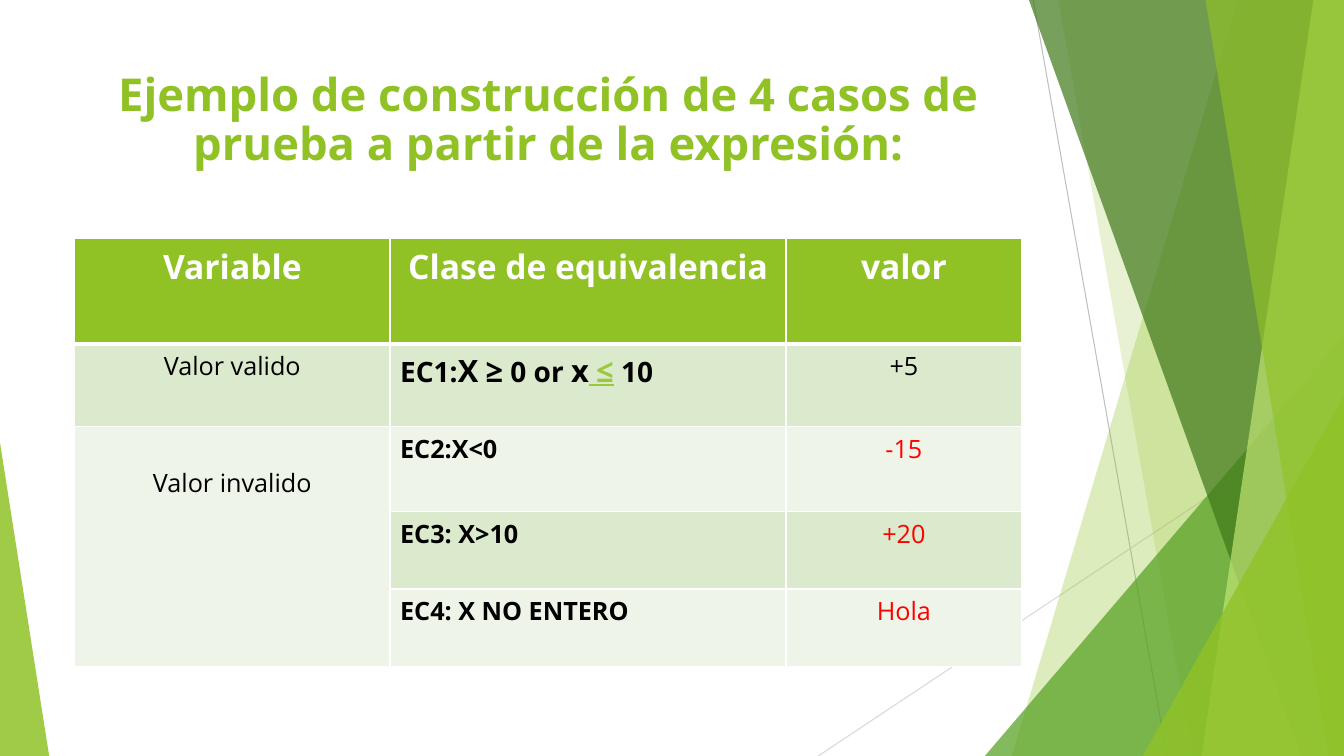
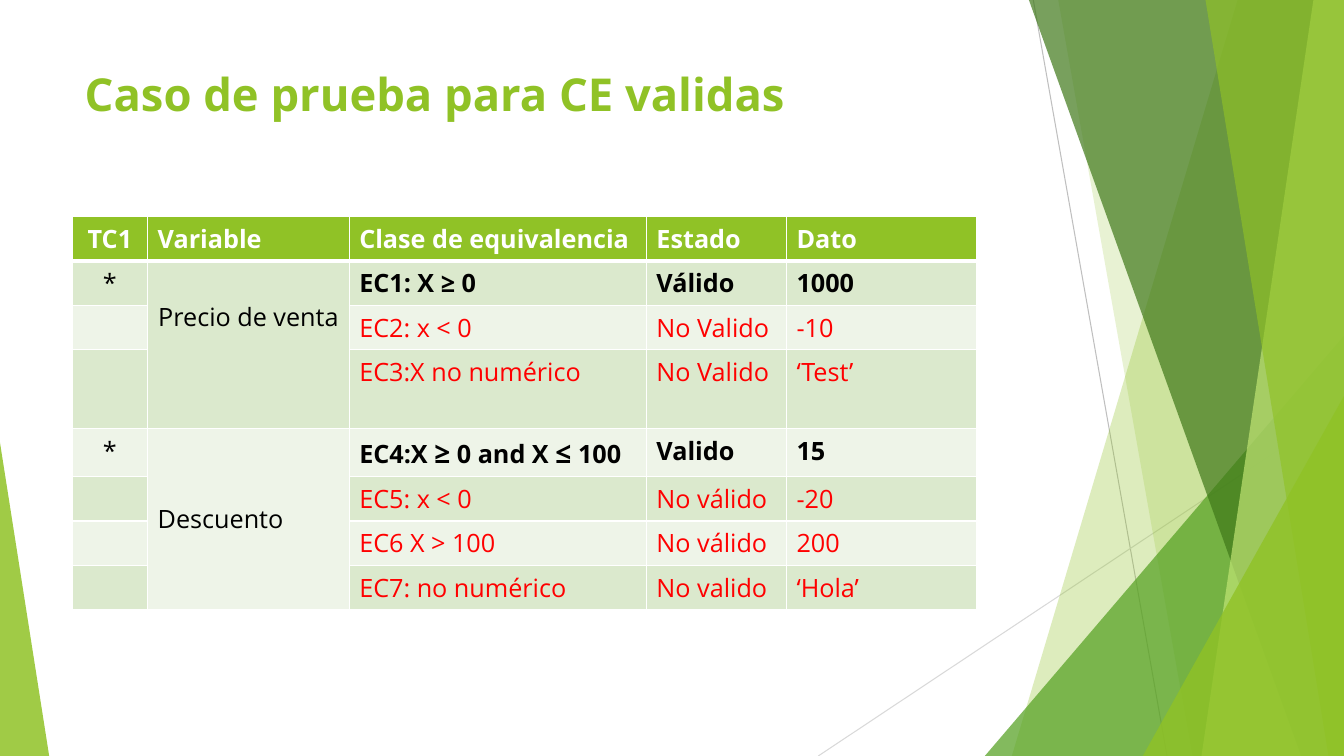
import lxml.etree
import pptx
import pptx.dml.color
import pptx.enum.shapes
import pptx.enum.text
import pptx.oxml
import pptx.oxml.ns
import pptx.util

Cm = pptx.util.Cm
Pt = pptx.util.Pt
qn = pptx.oxml.ns.qn
ALIGN = {
    "c": pptx.enum.text.PP_ALIGN.CENTER,
    "l": pptx.enum.text.PP_ALIGN.LEFT,
}
COLORS = {
    "green": "90C226", "leaf": "54A021", "forest": "3F7819", "lime": "C0E474",
    "symbol": "99CA3C", "band_odd": "DBE9CD", "band_even": "EEF4E8",
    "white": "FFFFFF", "black": "000000", "red": "FF0000",
    "line_dark": "BFBFBF", "line_light": "D9D9D9",
}
# Cell styles: colour and bold
CELL_STYLES = {
    "h": ("white", True),
    "p": ("black", False),
    "k": ("black", True),
    "b": ("red", False),
}
WIDTH, HEIGHT = 33.87, 19.05


def rgb(name):
    """Return the named colour."""
    return pptx.dml.color.RGBColor.from_string(COLORS[name])


class Deck:
    """Holds the presentation, its style and the current slide."""

    font = "Open Sans"
    title_size = 32.4
    body_size = 18

    def __init__(self):
        """Start a wide presentation."""
        self.presentation = pptx.Presentation()
        self.presentation.slide_width = Cm(WIDTH)
        self.presentation.slide_height = Cm(HEIGHT)
        self.layout = self.presentation.slide_layouts.get_by_name("Title Only")
        self.slide = None

    def add_slide(self, title, height, align):
        """Add a slide with its title."""
        self.slide = self.presentation.slides.add_slide(self.layout)
        shape = self.slide.shapes.title
        shape.left, shape.top = Cm(1.88), Cm(1.7)
        shape.width, shape.height = Cm(23.88), Cm(height)
        frame = shape.text_frame
        frame.text = title
        frame.word_wrap = True
        frame.auto_size = pptx.enum.text.MSO_AUTO_SIZE.NONE
        frame.vertical_anchor = pptx.enum.text.MSO_ANCHOR.TOP
        paragraph = frame.paragraphs[0]
        paragraph.alignment = ALIGN[align]
        paragraph.line_spacing = 0.9
        self.format_run(paragraph.runs[0], self.title_size, "green", True)

    def format_run(self, run, size, color, bold, underline=False):
        """Apply the deck font to a run."""
        run.font.name = self.font
        run.font.size = Pt(size)
        run.font.bold = bold
        run.font.underline = underline
        run.font.color.rgb = rgb(color)

    def share(self, shape):
        """Move a decoration to the layout, so every slide shows it."""
        self.layout.shapes.element.append(shape.element)

    def paint(self, shape, color, opacity):
        """Give a decoration a translucent fill and no outline."""
        shape.shadow.inherit = False
        shape.line.fill.background()
        shape.fill.solid()
        shape.fill.fore_color.rgb = rgb(color)
        fill = shape.element.spPr.find(qn("a:solidFill"))
        alpha = lxml.etree.SubElement(fill[0], qn("a:alpha"))
        alpha.set("val", str(opacity * 1000))
        self.share(shape)

    def line(self, start, end, color):
        """Draw a thin background line."""
        connector = self.slide.shapes.add_connector(
            pptx.enum.shapes.MSO_CONNECTOR.STRAIGHT,
            *(Cm(value) for value in start + end))
        connector.line.color.rgb = rgb(color)
        connector.line.width = Pt(0.75)
        lxml.etree.SubElement(connector.element.spPr, qn("a:effectLst"))
        self.share(connector)

    def blade(self, top_x, bottom_x, color, opacity):
        """Draw a full-height band that ends at the right edge."""
        builder = self.slide.shapes.build_freeform(Cm(top_x), 0)
        corners = ((WIDTH, 0), (WIDTH, HEIGHT), (bottom_x, HEIGHT))
        builder.add_line_segments([(Cm(x), Cm(y)) for x, y in corners])
        self.paint(builder.convert_to_shape(), color, opacity)

    def triangle(self, left, top, width, apex, color, opacity):
        """Draw a triangle standing on the bottom edge."""
        shape = self.slide.shapes.add_shape(
            pptx.enum.shapes.MSO_SHAPE.ISOSCELES_TRIANGLE,
            Cm(left), Cm(top), Cm(width), Cm(HEIGHT - top))
        shape.adjustments[0] = apex
        self.paint(shape, color, opacity)

    def decorate(self):
        """Draw the background, from back to front."""
        self.line((26.04, 0), (29.41, HEIGHT), "line_dark")
        self.line((WIDTH, 10.24), (20.62, HEIGHT), "line_light")
        self.blade(31.19, 25.5, "green", 30)
        self.blade(26.67, 30.05, "green", 20)
        self.triangle(24.82, 8.46, 9.05, 1, "leaf", 72)
        self.blade(25.93, 32.79, "forest", 70)
        self.blade(33.1, 30.28, "lime", 70)
        self.blade(30.38, 33.48, "green", 65)
        self.triangle(28.8, 9.98, 5.07, 1, "green", 80)
        self.triangle(0, 11.15, 1.24, 0, "green", 85)

    def borders(self, cell, bottom):
        """Draw white cell borders, with the given bottom width."""
        properties = cell._tc.get_or_add_tcPr()
        widths = {"lnL": 1, "lnR": 1, "lnT": 1, "lnB": bottom}
        for index, (tag, width) in enumerate(widths.items()):
            border = lxml.etree.Element(qn("a:" + tag), w=str(Pt(width)))
            fill = lxml.etree.SubElement(border, qn("a:solidFill"))
            lxml.etree.SubElement(fill, qn("a:srgbClr"), val=COLORS["white"])
            properties.insert(index, border)

    def fill_cell(self, cell, content, style, align):
        """Write a plain string or a list of (text, size, colour, underline)."""
        color, bold = CELL_STYLES[style]
        paragraph = cell.text_frame.paragraphs[0]
        paragraph.alignment = ALIGN[align]
        if not content:
            paragraph.font.size = Pt(self.body_size)
        elif isinstance(content, str):
            paragraph.text = content
            self.format_run(paragraph.runs[0], self.body_size, color, bold)
        else:
            for text, size, run_color, underline in content:
                run = paragraph.add_run()
                run.text = text
                self.format_run(run, size, run_color, bold, underline)

    def table(self, left, top, widths, heights, rows, aligns, merges):
        """Build a table from rows of (cell styles, alignments, contents)."""
        table = self.slide.shapes.add_table(
            len(heights), len(widths), Cm(left), Cm(top),
            Cm(sum(widths)), Cm(sum(heights))).table
        table.horz_banding = False
        for column, width in zip(table.columns, widths):
            column.width = Cm(width)
        for index, (styles, contents) in enumerate(rows):
            table.rows[index].height = Cm(heights[index])
            band = "band_odd" if index % 2 else "band_even"
            for position, content in enumerate(contents):
                cell = table.cell(index, position)
                cell.fill.solid()
                cell.fill.fore_color.rgb = rgb(band if index else "green")
                self.borders(cell, 1 if index else 3)
                self.fill_cell(cell, content, styles[position],
                               aligns[min(index, 1)][position])
        for first, last, position, margin, align in merges:
            cell = table.cell(first, position)
            cell.merge(table.cell(last, position))
            cell.margin_top = Cm(margin)
            cell.text_frame.paragraphs[0].alignment = ALIGN[align]
        return table


def build_expression_slide(deck):
    """Four test cases built from one expression."""
    deck.add_slide("Ejemplo de construcción de 4 casos de prueba "
                   "a partir de la expresión:", 3.66, "c")
    deck.decorate()
    expression = [
        ("EC1:", 20, "black", False), ("X", 22, "black", False),
        (" ", 20, "black", False), ("≥", 22, "black", False),
        (" ", 20, "symbol", False), ("0 or ", 20, "black", False),
        ("x", 22, "black", False), (" ", 20, "symbol", True),
        ("≤", 22, "symbol", True), (" 10", 20, "black", False),
    ]
    rows = [
        ("hhh", ("Variable", "Clase de equivalencia", "valor")),
        ("pkp", ("Valor valido", expression, "+5")),
        ("pkb", ("Valor invalido", "EC2:X<0", "-15")),
        ("pkb", ("", "EC3: X>10", "+20")),
        ("pkb", ("", "EC4: X NO ENTERO", "Hola")),
    ]
    table = deck.table(1.88, 6, (7.95, 9.98, 5.94),
                       (2.67, 2.08, 2.13, 1.96, 1.96), rows,
                       ("ccc", "clc"), [(2, 4, 0, 0.98, "c")])
    for cell in table.rows[0].cells:
        cell.text_frame.paragraphs[0].runs[0].font.size = Pt(24)


def build_valid_classes_slide(deck):
    """Test case for the valid equivalence classes."""
    deck.add_slide("Caso de prueba para CE validas", 1.42, "l")
    limits = [
        ("EC4:X ", 18, "black", False), ("≥", 20, "black", False),
        (" 0 and X ", 18, "black", False), ("≤", 20, "black", False),
        (" 100", 18, "black", False),
    ]
    rows = [
        ("hhhhh", ("TC1", "Variable", "Clase de equivalencia", "Estado", "Dato")),
        ("ppkkk", ("*", "Precio de venta", "EC1: X ≥ 0", "Válido", "1000")),
        ("ppbbb", ("", "", "EC2: x < 0", "No Valido", "-10")),
        ("ppbbb", ("", "", "EC3:X no numérico", "No Valido", "‘Test’")),
        ("ppkkk", ("*", "Descuento", limits, "Valido", "15")),
        ("ppbbb", ("", "", "EC5: x < 0", "No válido", "-20")),
        ("ppbbb", ("", "", "EC6 X > 100", "No válido", "200")),
        ("ppbbb", ("", "", "EC7: no numérico", "No valido", "‘Hola’")),
    ]
    deck.table(1.82, 5.45, (1.9, 5.08, 7.49, 3.53, 4.78),
               (1.1, 1.12, 1.12, 1.98, 1.22, 1.12, 1.12, 1.12), rows,
               ("cllll", "cllll"),
               [(1, 3, 1, 0.98, "c"), (4, 7, 1, 1.85, "l")])


deck = Deck()
build_expression_slide(deck)
build_valid_classes_slide(deck)
deck.presentation.save("out.pptx")
